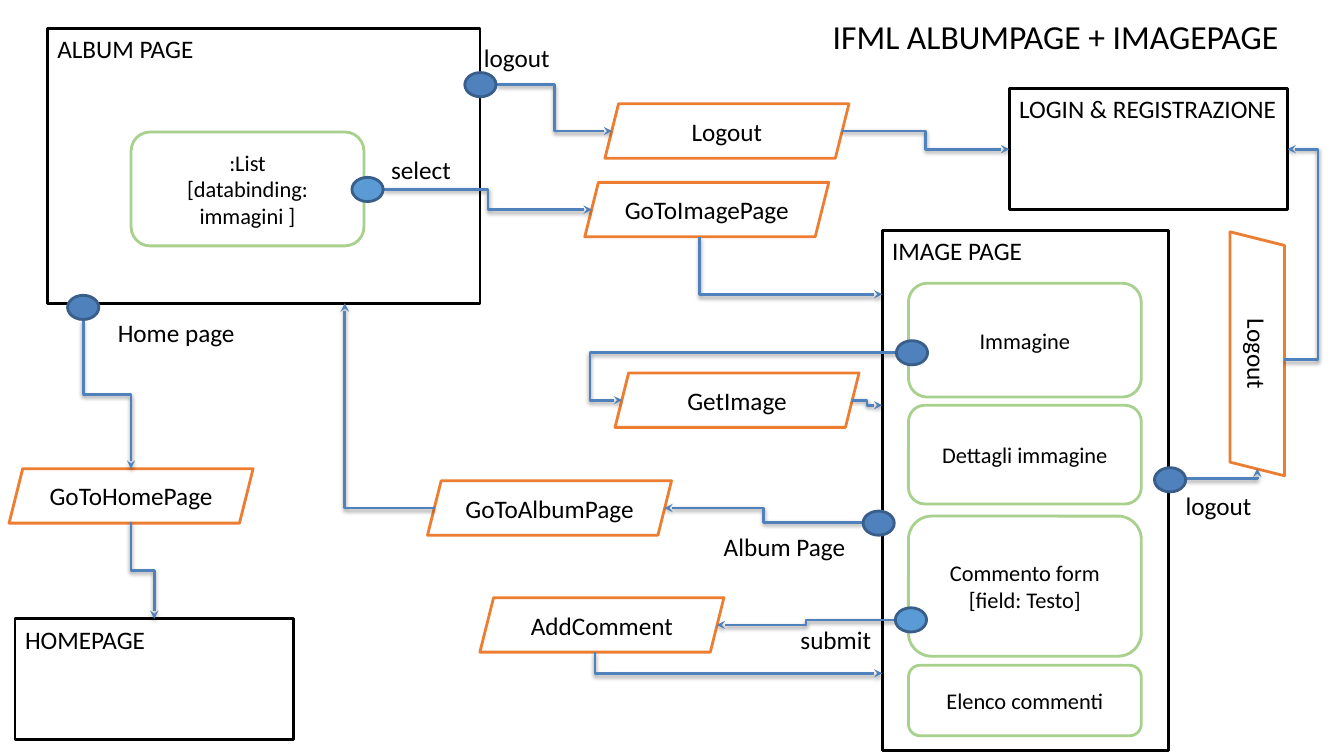
import pptx
import pptx.util
import pptx.oxml
import pptx.oxml.ns
import pptx.dml.color
import pptx.enum.shapes
import pptx.enum.text

HUES = {"black": "000000", "white": "FFFFFF", "green": "A9D18E", "orange": "ED7D31",
        "blue": "4F81BD", "light": "5B9BD5", "edge": "395E89"}
FONT = "Calibri"
TITLE = ("IFML ALBUMPAGE + IMAGEPAGE", 7.61, 0.11, 5.72, 0.5)
PAGES = [
    ("ALBUM PAGE", 0.47, 0.28, 4.29, 2.73),
    ("LOGIN & REGISTRAZIONE", 10.01, 0.88, 2.76, 1.2),
    ("IMAGE PAGE", 8.75, 2.29, 2.84, 5.16),
    ("HOMEPAGE", 0.15, 6.14, 2.76, 1.2),
]
PARTS = [
    (":List\n[databinding: immagini ]", 1.3, 1.31, 1.13),
    ("Immagine", 9.01, 2.81, 1.13),
    ("Dettagli immagine", 9.01, 4.02, 0.98),
    ("Commento form\v[field: Testo]", 9.01, 5.12, 1.39),
    ("Elenco commenti", 9.01, 6.6, 0.7),
]
ACTIONS = [
    ("Logout", 6, 1.03, 0),
    ("GoToImagePage", 5.8, 1.81, 0),
    ("GetImage", 6.1, 3.7, 0),
    ("GoToAlbumPage", 4.24, 4.77, 0),
    ("AddComment", 4.76, 5.93, 0),
    ("GoToHomePage", 0.09, 4.65, 0),
    ("Logout", 11.26, 3.24, 90),
]
EVENTS = [
    (4.61, 0.72, "blue"), (0.67, 2.93, "blue"), (8.89, 3.38, "blue"),
    (11.45, 4.64, "blue"), (8.56, 5.07, "blue"),
    (3.49, 1.76, "light"), (8.88, 6.03, "light"),
]
LABELS = [
    ("logout", 4.7, 0.37, 0.91),
    ("select", 3.78, 1.48, 0.91),
    ("Home page", 1.07, 3.1, 1.46),
    ("submit", 7.84, 6.14, 0.91),
    ("logout", 11.66, 4.82, 0.91),
    ("Album Page", 7.08, 5.22, 1.43),
]
FLOWS = [
    (4.93, 0.84, 6.07, 1.3, {}),
    (8.35, 1.3, 10.01, 1.48, {}),
    (3.81, 1.88, 5.87, 2.08, {}),
    (6.94, 2.35, 8.75, 2.92, {"down": True, "bends": 1}),
    (8.89, 3.5, 6.17, 3.97, {"turn": 1.117}),
    (8.45, 3.97, 8.75, 4.02, {}),
    (8.56, 5.18, 6.59, 5.04, {}),
    (4.31, 5.04, 3.42, 3.01, {"bends": 1}),
    (8.88, 6.15, 7.11, 6.2, {}),
    (5.9, 6.47, 8.75, 6.68, {"down": True, "bends": 1}),
    (0.83, 3.17, 1.3, 4.65, {"down": True}),
    (1.3, 5.18, 1.53, 6.14, {"down": True}),
    (11.76, 4.75, 12.47, 4.65, {"bends": 1}),
    (12.74, 3.57, 12.77, 1.48, {"turn": 11.13}),
]

NS = pptx.oxml.ns.nsdecls("a")
ARROW = f'<a:tailEnd {NS} type="stealth"/>'
SHADE = (f'<a:effectLst {NS}><a:outerShdw blurRad="39400" dist="20000" dir="5400000" rotWithShape="0">'
         f'<a:srgbClr val="{HUES["black"]}"><a:alpha val="38000"/></a:srgbClr></a:outerShdw></a:effectLst>')
KIND = pptx.enum.shapes.MSO_SHAPE
ALIGN = pptx.enum.text.PP_ALIGN
ANCHOR = pptx.enum.text.MSO_ANCHOR


def inch(*nums):
    return [pptx.util.Inches(n) for n in nums]


def hue(name):
    return pptx.dml.color.RGBColor.from_string(HUES[name])


def write(shape, text, size=18, align=ALIGN.LEFT, anchor=ANCHOR.TOP):
    frame = shape.text_frame
    frame.text = text
    frame.word_wrap = True
    frame.vertical_anchor = anchor
    for para in frame.paragraphs:
        para.alignment = align
        for run in para.runs:
            run.font.name = FONT
            run.font.size = pptx.util.Pt(size)
            run.font.color.rgb = hue("black")


def draw(kind, box, line, fill="white"):
    shape = slide.shapes.add_shape(kind, *inch(*box))
    shape.shadow.inherit = False
    shape.fill.solid()
    shape.fill.fore_color.rgb = hue(fill)
    shape.line.color.rgb = hue(line)
    shape.line.width = pptx.util.Pt(2)
    return shape


def flow(x1, y1, x2, y2, down=False, bends=2, turn=0.5):
    ends = (x1, y1, x2, y2)
    if down:
        midx, midy = (x1 + x2) / 2, (y1 + y2) / 2
        dx, dy = (x2 - x1) / 2, (y2 - y1) / 2
        ends = (midx + dy, midy - dx, midx - dy, midy + dx)
    link = slide.shapes.add_connector(pptx.enum.shapes.MSO_CONNECTOR.ELBOW, *inch(*ends))
    link.line.color.rgb = hue("blue")
    link.line.width = pptx.util.Pt(2)
    props = link._element.spPr
    if down:
        props.xfrm.set("rot", "16200000")
    shape = props.find(pptx.oxml.ns.qn("a:prstGeom"))
    shape.set("prst", f"bentConnector{bends + 1}")
    if turn != 0.5:
        guide = f'<a:gd {NS} name="adj1" fmla="val {round(turn * 100000)}"/>'
        shape.find(pptx.oxml.ns.qn("a:avLst")).append(pptx.oxml.parse_xml(guide))
    props.find(pptx.oxml.ns.qn("a:ln")).append(pptx.oxml.parse_xml(ARROW))
    props.append(pptx.oxml.parse_xml(SHADE))


deck = pptx.Presentation()
deck.slide_width, deck.slide_height = inch(13.33, 7.5)
slide = deck.slides.add_slide(deck.slide_layouts[5])

text, *box = TITLE
title = slide.shapes.title
title.left, title.top, title.width, title.height = inch(*box)
write(title, text, size=24, align=ALIGN.CENTER)

for text, *box in PAGES:
    write(draw(KIND.RECTANGLE, box, "black"), text)
for text, x, y, high in PARTS:
    part = draw(KIND.ROUNDED_RECTANGLE, (x, y, 2.31, high), "green")
    write(part, text, size=16, align=ALIGN.CENTER, anchor=ANCHOR.MIDDLE)
for text, x, y, turn in ACTIONS:
    action = draw(KIND.PARALLELOGRAM, (x, y, 2.42, 0.54), "orange")
    action.rotation = turn
    write(action, text, align=ALIGN.CENTER, anchor=ANCHOR.MIDDLE)
for *ends, form in FLOWS:
    flow(*ends, **form)
for x, y, fill in EVENTS:
    draw(KIND.OVAL, (x, y, 0.31, 0.24), "edge", fill)
for text, x, y, wide in LABELS:
    write(slide.shapes.add_textbox(*inch(x, y, wide, 0.3)), text)

deck.save("out.pptx")
